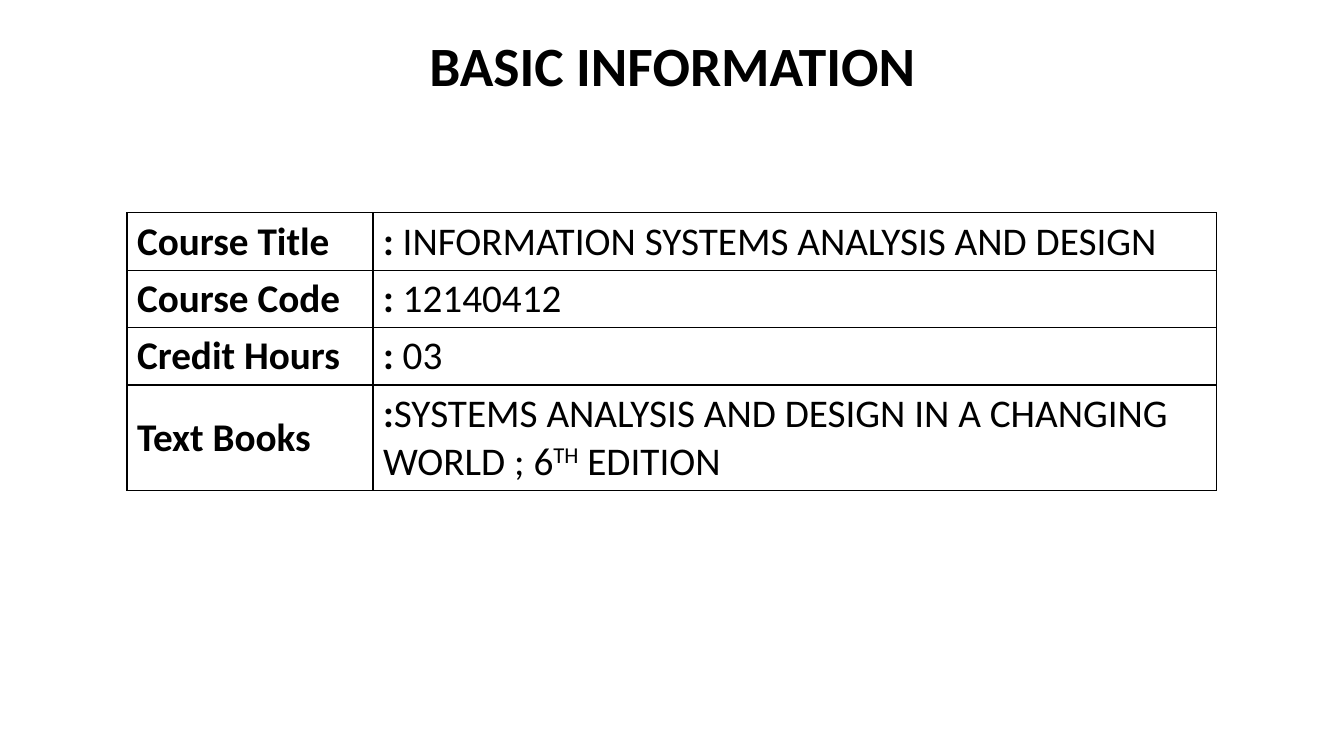
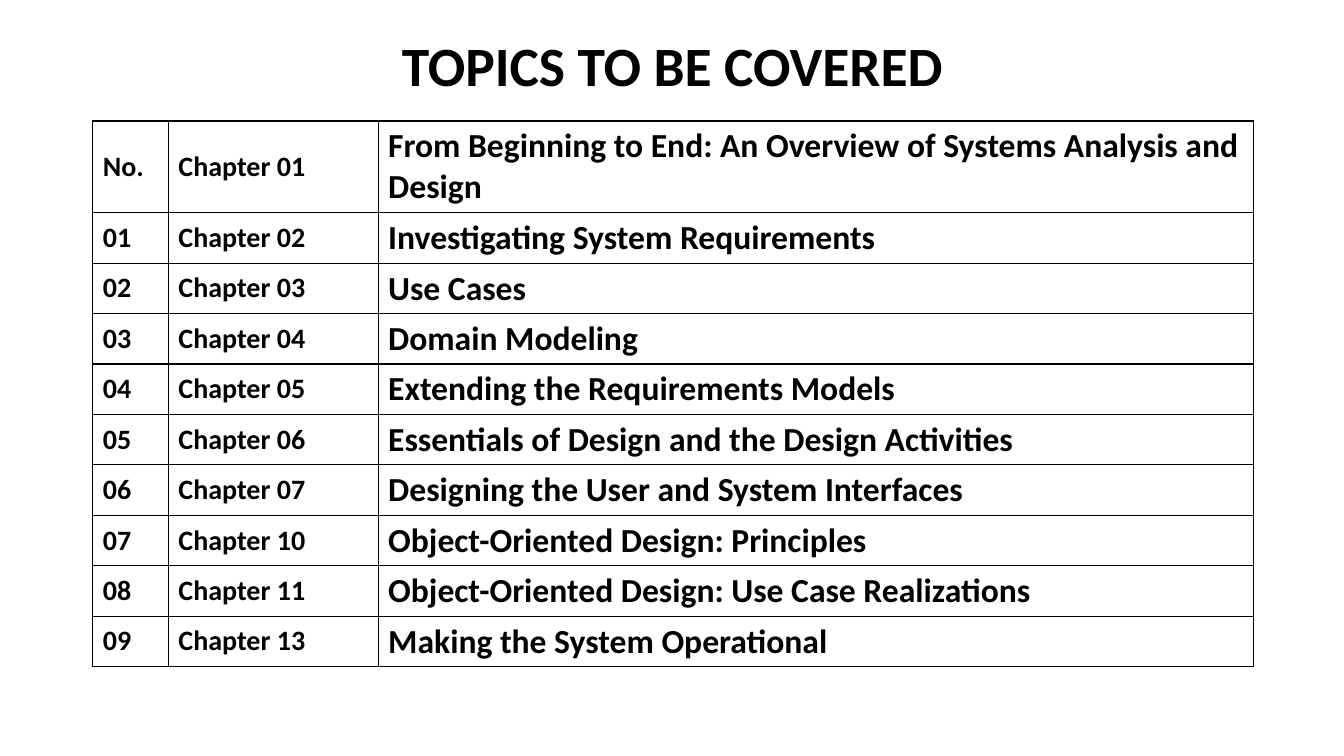
from lxml.etree import SubElement
from pptx import Presentation
from pptx.dml.color import RGBColor
from pptx.enum.text import MSO_ANCHOR, PP_ALIGN
from pptx.oxml.ns import qn
from pptx.util import Inches, Pt

FONT = "Calibri"
BLACK = RGBColor(0x00, 0x00, 0x00)
BOLD, PLAIN, SUPER = "bold", "plain", "super"

COURSE = [
    ("Course Title", [(": ", BOLD), ("INFORMATION SYSTEMS ANALYSIS AND DESIGN", PLAIN)]),
    ("Course Code", [(":", BOLD), (" 12140412", PLAIN)]),
    ("Credit Hours", [(":", BOLD), (" 03", PLAIN)]),
    ("Text Books", [(":", BOLD),
                    ("SYSTEMS ANALYSIS AND DESIGN IN A CHANGING WORLD ; 6", PLAIN),
                    ("TH", SUPER), (" EDITION", PLAIN)]),
]

TOPICS = [
    ("No.", "Chapter 01", "From Beginning to End: An Overview of Systems Analysis and Design"),
    ("01", "Chapter 02", "Investigating System Requirements"),
    ("02", "Chapter 03", "Use Cases"),
    ("03", "Chapter 04", "Domain Modeling"),
    ("04", "Chapter 05", "Extending the Requirements Models"),
    ("05", "Chapter 06", "Essentials of Design and the Design Activities"),
    ("06", "Chapter 07", "Designing the User and System Interfaces"),
    ("07", "Chapter 10", "Object-Oriented Design: Principles"),
    ("08", "Chapter 11", "Object-Oriented Design: Use Case Realizations"),
    ("09", "Chapter 13", "Making the System Operational"),
]

SLIDES = [
    {"title": "BASIC INFORMATION", "rows": COURSE, "left": 1.26, "top": 2.11,
     "widths": [2.44, 8.37], "heights": [0.57] * 3 + [1.05], "sizes": [28, 28]},
    {"title": "TOPICS TO BE COVERED", "rows": TOPICS, "left": 0.92, "top": 1.2,
     "widths": [0.75, 2.08, 8.68], "heights": [0.91] + [0.5] * 9, "sizes": [20, 20, 24]},
]


def add_run(p, text, size, style=BOLD):
    r = p.add_run()
    r.text = text
    r.font.name, r.font.size = FONT, Pt(size)
    r.font.bold = style == BOLD
    r.font.color.rgb = BLACK
    if style == SUPER:
        r.font._element.set("baseline", "30000")


def add_title(s, text):
    tf = s.shapes.add_textbox(Inches(0.92), Inches(0.35), Inches(11.5), Inches(0.66)).text_frame
    tf.word_wrap = True
    tf.vertical_anchor = MSO_ANCHOR.MIDDLE
    p = tf.paragraphs[0]
    p.alignment = PP_ALIGN.CENTER
    p.line_spacing = 0.9
    add_run(p, text, 39.6)


def set_borders(cell):
    tc_pr = cell._tc.get_or_add_tcPr()
    for side in ("lnL", "lnR", "lnT", "lnB"):
        ln = SubElement(tc_pr, qn(f"a:{side}"), w=str(Pt(1)))
        fill = SubElement(ln, qn("a:solidFill"))
        SubElement(fill, qn("a:srgbClr"), val=str(BLACK))


def add_grid(s, rows, left, top, widths, heights, sizes):
    table = s.shapes.add_table(len(rows), len(widths), Inches(left), Inches(top),
                               Inches(sum(widths)), Inches(sum(heights))).table
    table.first_row = table.horz_banding = False
    for column, width in zip(table.columns, widths):
        column.width = Inches(width)
    for row, height, values in zip(table.rows, heights, rows):
        row.height = Inches(height)
        for cell, value, size in zip(row.cells, values, sizes):
            set_borders(cell)
            cell.fill.background()
            cell.vertical_anchor = MSO_ANCHOR.MIDDLE
            parts = [(value, BOLD)] if isinstance(value, str) else value
            for text, style in parts:
                add_run(cell.text_frame.paragraphs[0], text, size, style)


def main():
    prs = Presentation()
    prs.slide_width, prs.slide_height = Inches(13.33), Inches(7.5)
    for content in SLIDES:
        s = prs.slides.add_slide(prs.slide_layouts[6])
        add_title(s, content["title"])
        add_grid(s, content["rows"], content["left"], content["top"],
                 content["widths"], content["heights"], content["sizes"])
    prs.save("out.pptx")


if __name__ == "__main__":
    main()
